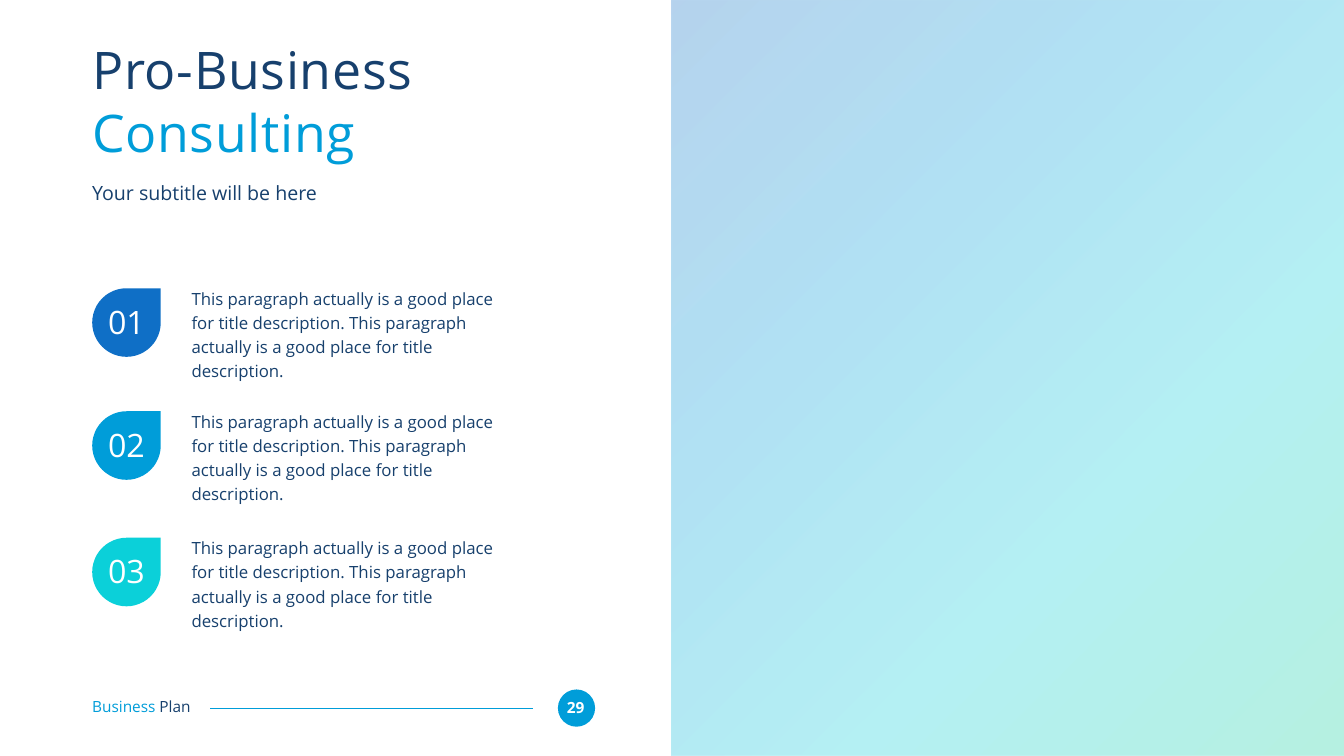
from collections import namedtuple

from lxml import etree
from pptx import Presentation
from pptx.dml.color import RGBColor
from pptx.enum.shapes import MSO_CONNECTOR as Line, MSO_SHAPE as Shape
from pptx.enum.text import MSO_ANCHOR as Anchor, MSO_AUTO_SIZE as Fit, PP_ALIGN as Align
from pptx.oxml.ns import qn
from pptx.util import Inches, Pt

COLORS = {
    "white": "FFFFFF",
    "navy": "17406D",
    "blue": "0F6FC6",
    "sky": "009DD9",
    "teal": "0BD0D9",
    "green": "10CF9B",
}
FONT = "Open Sans"
WIDTH, HEIGHT = Inches(26.67), Inches(15)
COLUMN, ROW = WIDTH / 100, HEIGHT / 100
DESCRIPTION = "This paragraph actually is a good place for title description. " * 2

Box = namedtuple("Box", "left top width height")


def inside(box, left, top, width, height):
    return Box(box.left + left, box.top + top, width, height)


def to_emu(box):
    return (round(box.left * COLUMN), round(box.top * ROW),
            round(box.width * COLUMN), round(box.height * ROW))


def rgb(name):
    return RGBColor.from_string(COLORS[name])


def add_text(slide, box, *pieces, size, bold=False, align=Align.LEFT,
             anchor=Anchor.TOP, line_spacing=None, tracking=None, fit=Fit.NONE):
    frame = slide.shapes.add_textbox(*to_emu(box)).text_frame
    frame.margin_left = frame.margin_right = frame.margin_top = frame.margin_bottom = 0
    frame.word_wrap = True
    frame.auto_size = fit
    frame.vertical_anchor = anchor
    paragraph = frame.paragraphs[0]
    paragraph.alignment = align
    paragraph.line_spacing = line_spacing
    for words, color in pieces:
        run = paragraph.add_run()
        run.text = words
        run.font.name = FONT
        run.font.size = Pt(size)
        run.font.bold = bold
        run.font.color.rgb = rgb(color)
        if tracking:
            run.font._element.set("spc", str(tracking * 100))


def add_filled(slide, kind, box, color):
    figure = slide.shapes.add_shape(kind, *to_emu(box))
    figure.shadow.inherit = False
    figure.fill.solid()
    figure.fill.fore_color.rgb = rgb(color)
    figure.line.fill.background()
    return figure


def add_gradient_panel(slide, box):
    panel = add_filled(slide, Shape.RECTANGLE, box, "sky")
    gradient = etree.Element(qn("a:gradFill"), rotWithShape="1")
    stops = etree.SubElement(gradient, qn("a:gsLst"))
    for position, color in zip((0, 33, 66, 100), ("blue", "sky", "teal", "green")):
        stop = etree.SubElement(stops, qn("a:gs"), pos=str(position * 1000))
        tint = etree.SubElement(stop, qn("a:srgbClr"), val=COLORS[color])
        etree.SubElement(tint, qn("a:alpha"), val="30000")
    etree.SubElement(gradient, qn("a:lin"), ang=str(45 * 60000), scaled="0")
    properties = panel._element.spPr
    properties.replace(properties.find(qn("a:solidFill")), gradient)


def add_heading(slide, box):
    add_text(slide, inside(box, 0, 0, box.width, 16.8),
             ("Pro-Business ", "navy"), ("Consulting", "sky"),
             size=74, anchor=Anchor.MIDDLE, tracking=1)
    add_text(slide, inside(box, 0, 19.07, box.width, 3.27),
             ("Your subtitle will be here", "navy"), size=28)


def add_item(slide, box, number, color):
    add_text(slide, inside(box, 7.39, -0.5, 23.55, 9.47),
             (DESCRIPTION.strip(), "navy"), size=24, line_spacing=1.2, fit=Fit.SHAPE_TO_FIT_TEXT)
    add_filled(slide, Shape.TEAR, inside(box, 0, 0, 5.1, box.height), color)
    add_text(slide, inside(box, 0.49, 1.83, 4.12, 5.13), (f"{number:02d}", "white"),
             size=46, align=Align.CENTER, fit=Fit.SHAPE_TO_FIT_TEXT)


def add_footer(slide, box):
    add_filled(slide, Shape.OVAL, inside(box, 34.65, 0, 2.77, box.height), "sky")
    add_text(slide, inside(box, 34.87, 1.13, 2.21, 2.47), ("29", "white"),
             size=22, bold=True, align=Align.CENTER, fit=Fit.SHAPE_TO_FIT_TEXT)
    left, top, length, _ = to_emu(inside(box, 8.74, box.height / 2, 24.03, 0))
    rule = slide.shapes.add_connector(Line.STRAIGHT, left + length, top, left, top)
    rule.line.color.rgb = rgb("sky")
    rule.line.width = Pt(1.5)
    etree.SubElement(rule._element.spPr, qn("a:effectLst"))
    add_text(slide, inside(box, 0, 1.07, 9.71, 2.47),
             ("Business ", "sky"), ("Plan", "navy"), size=22, fit=Fit.SHAPE_TO_FIT_TEXT)


def main():
    deck = Presentation()
    deck.slide_width, deck.slide_height = WIDTH, HEIGHT
    slide = deck.slides.add_slide(deck.slide_layouts[6])
    margin = 6.86
    add_footer(slide, Box(margin, 91.2, 37.42, 4.93))
    add_gradient_panel(slide, Box(50, 0, 50, 100))
    add_heading(slide, Box(margin, 4.87, 37.12, 22.33))
    items = zip((38.13, 54.4, 71.13), ("blue", "sky", "teal"))
    for number, (top, color) in enumerate(items, start=1):
        add_item(slide, Box(margin, top, 30.94, 9.07), number, color)
    deck.save("out.pptx")


if __name__ == "__main__":
    main()
